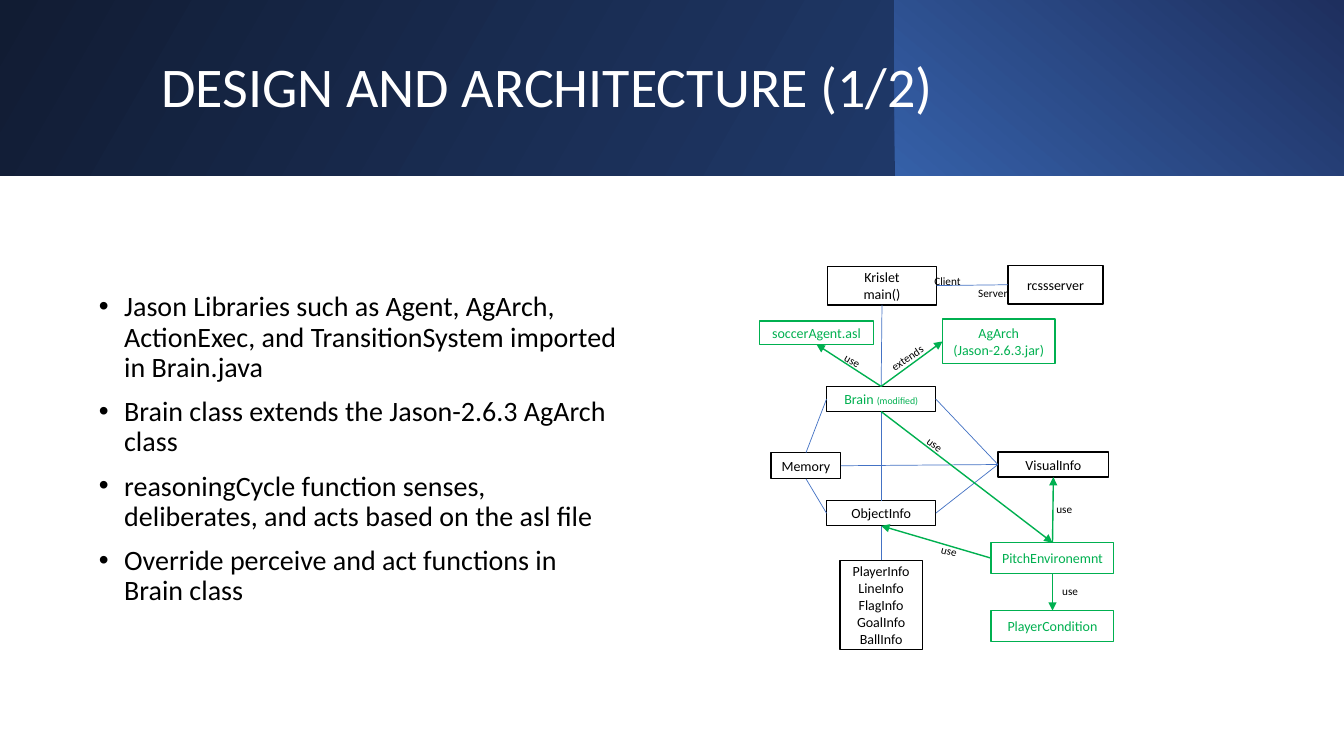
from lxml.etree import SubElement
from pptx import Presentation
from pptx.dml.color import RGBColor
from pptx.enum.shapes import MSO_CONNECTOR, MSO_SHAPE
from pptx.enum.text import MSO_ANCHOR, PP_ALIGN
from pptx.oxml.ns import qn
from pptx.util import Inches, Pt

BLACK = RGBColor(0x00, 0x00, 0x00)
WHITE = RGBColor(0xFF, 0xFF, 0xFF)
GREEN = RGBColor(0x00, 0xB0, 0x50)
BLUE = RGBColor(0x44, 0x72, 0xC4)
MIDNIGHT = RGBColor(0x11, 0x1C, 0x33)
NAVY = RGBColor(0x1F, 0x38, 0x68)
ROYAL = RGBColor(0x35, 0x60, 0xA8)
DUSK = RGBColor(0x1E, 0x2F, 0x5E)
FONT = "Calibri"
TOP, LEFT, BOTTOM, RIGHT = range(4)

deck = Presentation()
deck.slide_width, deck.slide_height = Inches(13.33), Inches(7.5)
COLUMN = deck.slide_width / 160
ROW = deck.slide_height / 90
page = deck.slides.add_slide(deck.slide_layouts[5])


def grid(left, top, width, height):
    return int(left * COLUMN), int(top * ROW), int(width * COLUMN), int(height * ROW)


def write(box, text, size, color, align):
    frame = box.text_frame
    frame.text = text
    frame.word_wrap = True
    frame.vertical_anchor = MSO_ANCHOR.MIDDLE
    for para in frame.paragraphs:
        para.alignment = align
        for span in para.runs:
            span.font.name = FONT
            span.font.size = Pt(size)
            span.font.color.rgb = color


for left, width, start, end, angle in [
    (0, 106.5, MIDNIGHT, NAVY, 330),
    (106.5, 53.5, ROYAL, DUSK, 50),
]:
    band = page.shapes.add_shape(MSO_SHAPE.RECTANGLE, *grid(left, 0, width, 20.95))
    band.shadow.inherit = False
    band.line.fill.background()
    band.fill.gradient()
    band.fill.gradient_angle = angle
    for stop, color in zip(band.fill.gradient_stops, (start, end)):
        stop.color.rgb = color

title = page.shapes.title
title.left, title.top, title.width, title.height = grid(18, 3.8, 129.8, 13.6)
write(title, "DESIGN AND ARCHITECTURE (1/2)", 40, WHITE, PP_ALIGN.LEFT)
title.text_frame.paragraphs[0].line_spacing = 0.9
title.element.getparent().append(title.element)

points = [
    "Jason Libraries such as Agent, AgArch, ActionExec, and TransitionSystem imported in Brain.java",
    "Brain class extends the Jason-2.6.3 AgArch class",
    "reasoningCycle function senses, deliberates, and acts based on the asl file",
    "Override perceive and act functions in Brain class",
]
body = page.shapes.add_textbox(*grid(10.6, 27.2, 64.3, 52.7))
write(body, "\n".join(points), 20, BLACK, PP_ALIGN.LEFT)
for index, para in enumerate(body.text_frame.paragraphs):
    para.line_spacing = 0.9
    para.space_before = Pt(10 if index else 0)
    properties = para._p.get_or_add_pPr()
    properties.set("marL", str(Inches(0.25)))
    properties.set("indent", str(-Inches(0.25)))
    SubElement(properties, qn("a:buFont"), typeface="Arial")
    SubElement(properties, qn("a:buChar"), char="•")

boxes = {}
for name, text, color, place in [
    ("agent", "soccerAgent.asl", GREEN, (90.4, 38.2, 13.6, 2.8)),
    ("pitch", "PitchEnvironemnt", GREEN, (118, 64.6, 14.6, 3.7)),
    ("condition", "PlayerCondition", GREEN, (118, 72.7, 14.6, 3.7)),
    ("arch", "AgArch\n(Jason-2.6.3.jar)", GREEN, (112.2, 38, 13.4, 5.3)),
    ("krislet", "Krislet\nmain()", BLACK, (98.5, 31.7, 13, 4.6)),
    ("server", "rcssserver", BLACK, (120, 31.6, 11.3, 4.6)),
    ("object", "ObjectInfo", BLACK, (98.4, 59.6, 13, 3)),
    ("visual", "VisualInfo", BLACK, (118.8, 53.8, 13.2, 3)),
    ("infos", "PlayerInfo\nLineInfo\nFlagInfo\nGoalInfo\nBallInfo", BLACK, (100, 66.7, 9.8, 10.6)),
    ("memory", "Memory", BLACK, (91.8, 53.9, 8.3, 3.1)),
    ("brain", "Brain ", GREEN, (98.4, 46, 13, 3)),
]:
    box = page.shapes.add_shape(MSO_SHAPE.RECTANGLE, *grid(*place))
    box.shadow.inherit = False
    box.fill.background()
    box.line.color.rgb = color
    box.line.width = Pt(1)
    frame = box.text_frame
    frame.margin_left = frame.margin_right = frame.margin_top = frame.margin_bottom = 0
    write(box, text, 10, color, PP_ALIGN.CENTER)
    boxes[name] = box

brain = boxes["brain"]
brain.fill.solid()
brain.fill.fore_color.rgb = WHITE
brain.line.color.rgb = BLACK
span = brain.text_frame.paragraphs[0].add_run()
span.text = "(modified)"
span.font.name = FONT
span.font.size = Pt(7)
span.font.color.rgb = GREEN

links = [
    ("infos", TOP, "object", BOTTOM),
    ("object", RIGHT, "visual", LEFT),
    ("object", LEFT, "memory", BOTTOM),
    ("brain", BOTTOM, "object", TOP),
    ("memory", RIGHT, "visual", LEFT),
    ("memory", TOP, "brain", LEFT),
    ("brain", RIGHT, "visual", LEFT),
    ("brain", TOP, "krislet", BOTTOM),
    ("server", LEFT, "krislet", RIGHT),
]
arrows = [
    ("pitch", BOTTOM, "condition", TOP),
    ("pitch", LEFT, "object", BOTTOM),
    ("pitch", TOP, "visual", BOTTOM),
    ("brain", TOP, "arch", LEFT),
    ("brain", TOP, "agent", BOTTOM),
    ("brain", BOTTOM, "pitch", TOP),
]
for source, source_side, target, target_side in links + arrows:
    is_arrow = (source, source_side, target, target_side) in arrows
    line = page.shapes.add_connector(MSO_CONNECTOR.STRAIGHT, 0, 0, 0, 0)
    line.begin_connect(boxes[source], source_side)
    line.end_connect(boxes[target], target_side)
    line.line.color.rgb = GREEN if is_arrow else BLUE
    line.line.width = Pt(1 if is_arrow else 0.5)
    if is_arrow:
        SubElement(line.line._get_or_add_ln(), qn("a:tailEnd"), type="triangle")
    SubElement(line.element.spPr, qn("a:effectLst"))

for text, center, middle, angle in [
    ("Client", 112.8, 33.4, 0),
    ("Server", 118.2, 34.9, 0),
    ("use", 101.5, 42.9, 30.4),
    ("extends", 108, 42.6, 325.8),
    ("use", 126.7, 60.6, 0),
    ("use", 127.4, 70.4, 0),
    ("use", 113, 65.6, 15.4),
    ("use", 111.3, 52.9, 37.1),
]:
    label = page.shapes.add_textbox(*grid(center - 4, middle - 1.5, 8, 3))
    label.rotation = angle
    write(label, text, 8, BLACK, PP_ALIGN.CENTER)

deck.save("out.pptx")
